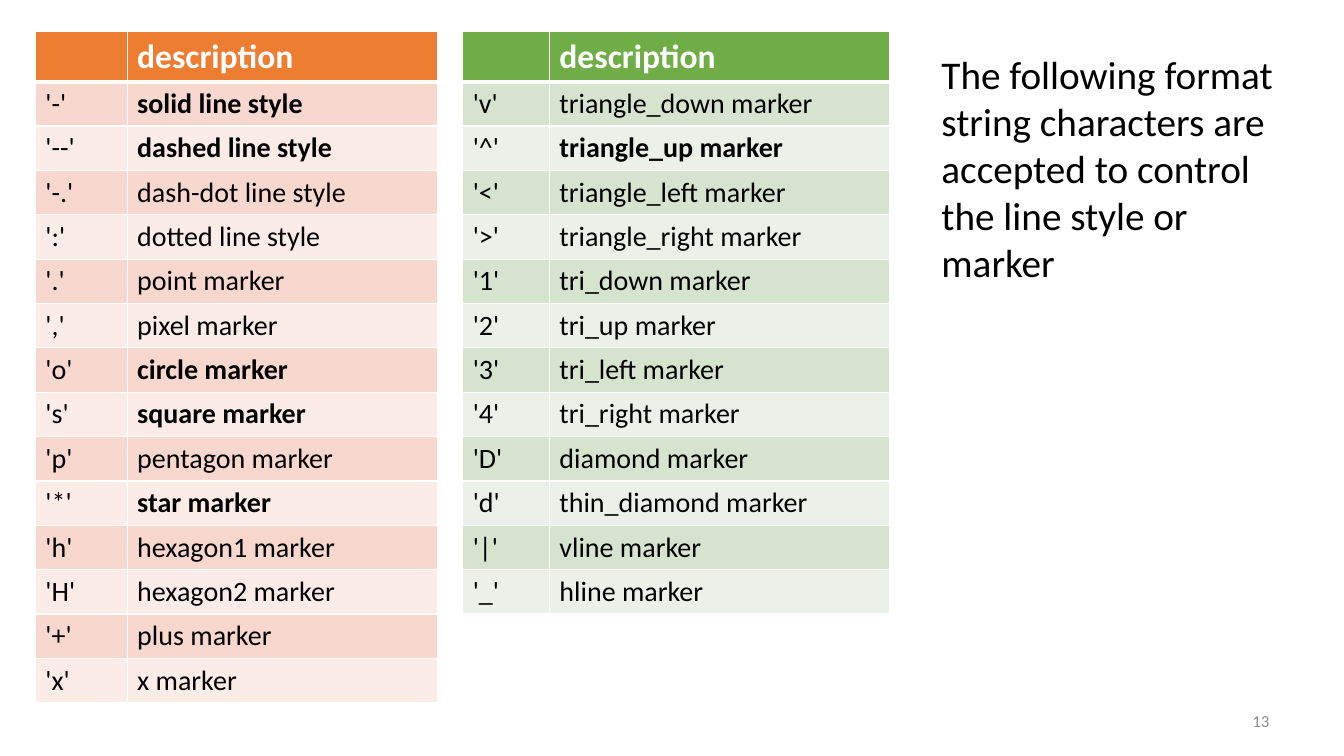
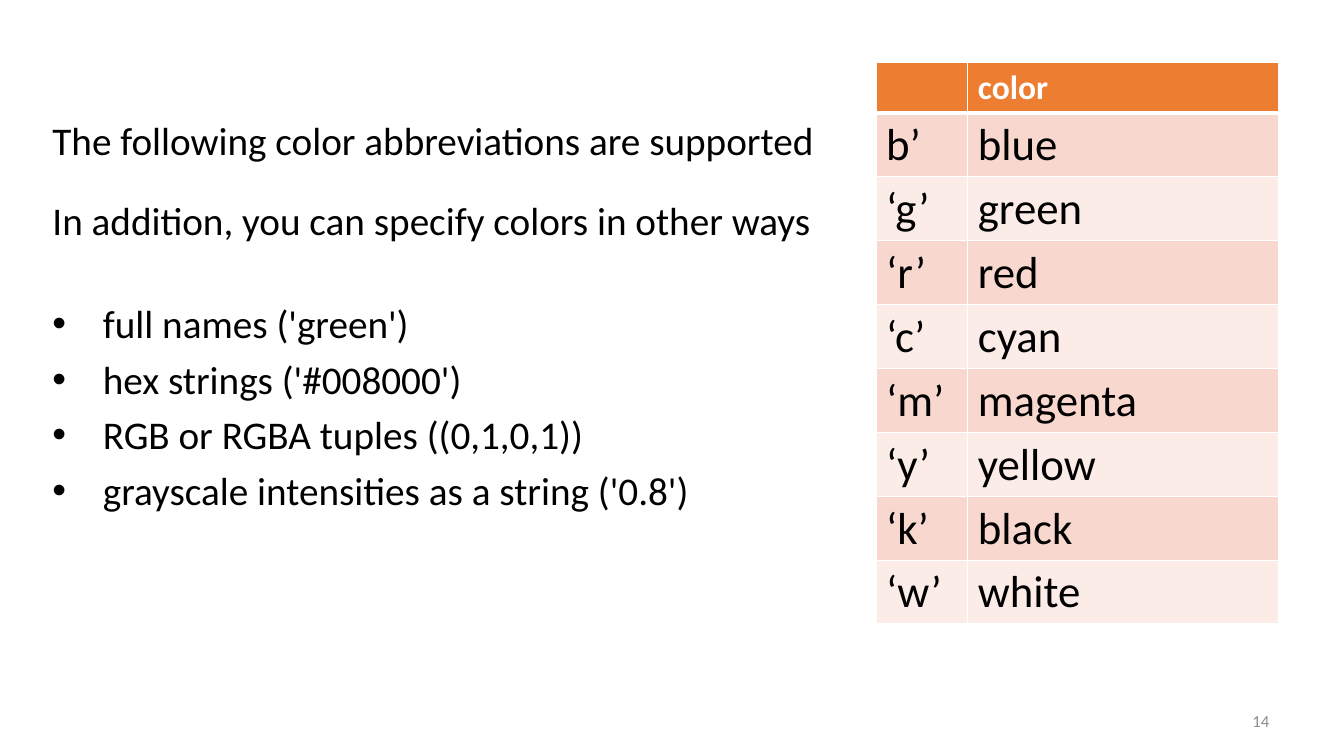
from lxml import etree
from pptx import Presentation, util as u
from pptx.dml.color import RGBColor
from pptx.enum import text
from pptx.oxml.ns import qn

FONT = "Calibri"
BLACK = RGBColor(0x00, 0x00, 0x00)
WHITE = RGBColor(0xFF, 0xFF, 0xFF)
GRAY = RGBColor(0x8C, 0x8C, 0x8C)
ORANGE = (RGBColor(0xED, 0x7D, 0x31), RGBColor(0xF8, 0xD7, 0xCE), RGBColor(0xFC, 0xEC, 0xE8))
GREEN = (RGBColor(0x70, 0xAD, 0x47), RGBColor(0xD5, 0xE3, 0xCF), RGBColor(0xEB, 0xF1, 0xE9))

deck = Presentation()
deck.slide_width = u.Inches(13.33)
deck.slide_height = u.Inches(7.5)
COLUMN = deck.slide_width / 100
ROW = deck.slide_height / 100
FIRST_NUMBER = 13
HEADER_HEIGHT = 6.67

LINE_STYLES = [
    ("'-'", "solid line style"), ("'--'", "dashed line style"),
    ("'-.'", "dash-dot line style"), ("':'", "dotted line style"),
    ("'.'", "point marker"), ("','", "pixel marker"),
    ("'o'", "circle marker"), ("'s'", "square marker"),
    ("'p'", "pentagon marker"), ("'*'", "star marker"),
    ("'h'", "hexagon1 marker"), ("'H'", "hexagon2 marker"),
    ("'+'", "plus marker"), ("'x'", "x marker"),
]
MARKERS = [
    ("'v'", "triangle_down marker"), ("'^'", "triangle_up marker"),
    ("'<'", "triangle_left marker"), ("'>'", "triangle_right marker"),
    ("'1'", "tri_down marker"), ("'2'", "tri_up marker"),
    ("'3'", "tri_left marker"), ("'4'", "tri_right marker"),
    ("'D'", "diamond marker"), ("'d'", "thin_diamond marker"),
    ("'|'", "vline marker"), ("'_'", "hline marker"),
]
COLOR_CODES = [
    ("b’", "blue"), ("‘g’", "green"), ("‘r’", "red"), ("‘c’", "cyan"),
    ("‘m’", "magenta"), ("‘y’", "yellow"), ("‘k’", "black"), ("‘w’", "white"),
]
EMPHASIZED = {
    "solid line style", "dashed line style", "circle marker",
    "square marker", "star marker", "triangle_up marker",
}

PAGES = [
    {
        "body": (69.3, 6, 27.15, 32.8),
        "paras": [
            ("The following format string characters are accepted to control the line style or marker", 24, False),
        ],
        "tables": [
            (2.63, 4.13, (6.83, 23.1), 5.87, 20, "description", LINE_STYLES, ORANGE),
            (34.43, 4.13, (6.45, 25.35), 5.87, 20, "description", MARKERS, GREEN),
        ],
    },
    {
        "body": (3.15, 14.67, 60.67, 54.27),
        "paras": [
            ("The following color abbreviations are supported", 24, False),
            ("In addition, you can specify colors in other ways", 24, False),
            ("full names ('green')", 40, True),
            ("hex strings ('#008000')", 6, True),
            ("RGB or RGBA tuples ((0,1,0,1))", 6, True),
            ("grayscale intensities as a string ('0.8')", 6, True),
        ],
        "tables": [
            (65.18, 8.27, (6.83, 23.1), 8.44, 32, "color", COLOR_CODES, ORANGE),
        ],
    },
]


def grid(left, top, width, height):
    return [int(left * COLUMN), int(top * ROW), int(width * COLUMN), int(height * ROW)]


def add_span(para, words, size, color, bold=False):
    span = para.add_run()
    span.text = words
    span.font.name = FONT
    span.font.size = u.Pt(size)
    span.font.color.rgb = color
    span.font.bold = bold


for number, content in enumerate(PAGES, FIRST_NUMBER):
    page = deck.slides.add_slide(deck.slide_layouts[1])
    title = page.shapes.title.element
    title.getparent().remove(title)

    number_box = page.shapes.add_textbox(*grid(70.65, 92.67, 24.53, 5.33))
    number_box.text_frame.word_wrap = True
    number_box.text_frame.vertical_anchor = text.MSO_ANCHOR.MIDDLE
    number_para = number_box.text_frame.paragraphs[0]
    number_para.alignment = text.PP_ALIGN.RIGHT
    add_span(number_para, str(number), 12, GRAY)

    for left, top, widths, row_height, size, heading, entries, shades in content["tables"]:
        rows = [("", heading)] + entries
        height = HEADER_HEIGHT + row_height * len(entries)
        frame = page.shapes.add_table(len(rows), 2, *grid(left, top, sum(widths), height))
        table = frame.table
        table.first_row = table.horz_banding = False
        for column, width in zip(table.columns, widths):
            column.width = int(width * COLUMN)
        for index, row in enumerate(rows):
            header = index == 0
            table.rows[index].height = int((HEADER_HEIGHT if header else row_height) * ROW)
            for cell, words in zip(table.rows[index].cells, row):
                properties = cell._tc.get_or_add_tcPr()
                for side in ("lnL", "lnR", "lnT", "lnB"):
                    thick = (index, side) in ((0, "lnB"), (1, "lnT"))
                    line = etree.SubElement(properties, qn("a:" + side), w=str(u.Pt(3 if thick else 1)))
                    paint = etree.SubElement(line, qn("a:solidFill"))
                    etree.SubElement(paint, qn("a:srgbClr"), val=str(WHITE))
                cell.fill.solid()
                cell.fill.fore_color.rgb = shades[0] if header else shades[2 - index % 2]
                cell.vertical_anchor = text.MSO_ANCHOR.MIDDLE
                if words:
                    add_span(
                        cell.text_frame.paragraphs[0], words,
                        24 if header else size,
                        WHITE if header else BLACK,
                        header or words in EMPHASIZED,
                    )

    body = page.placeholders[1]
    body.left, body.top, body.width, body.height = grid(*content["body"])
    body.text_frame.auto_size = text.MSO_AUTO_SIZE.NONE
    for index, (words, space, bulleted) in enumerate(content["paras"]):
        para = body.text_frame.paragraphs[0] if index == 0 else body.text_frame.add_paragraph()
        para.space_before = u.Pt(space)
        para.line_spacing = 1.0
        properties = para._p.get_or_add_pPr()
        indent = u.Inches(0.5) if bulleted else 0
        properties.set("marL", str(indent))
        properties.set("indent", str(-indent))
        if bulleted:
            etree.SubElement(properties, qn("a:buFont"), typeface="Arial")
            etree.SubElement(properties, qn("a:buChar"), char="•")
        else:
            etree.SubElement(properties, qn("a:buNone"))
        add_span(para, words, 28, BLACK)

deck.save("out.pptx")
